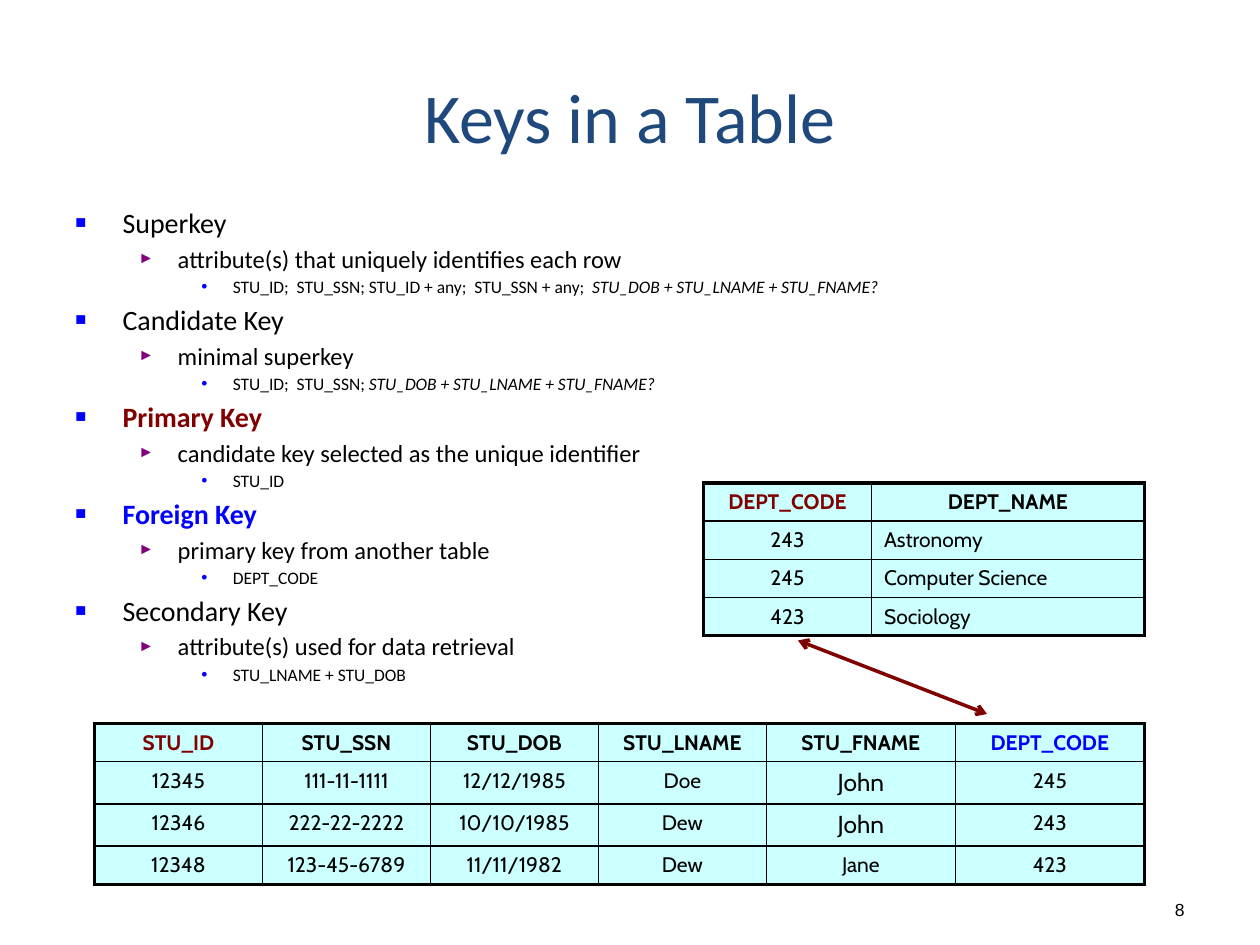
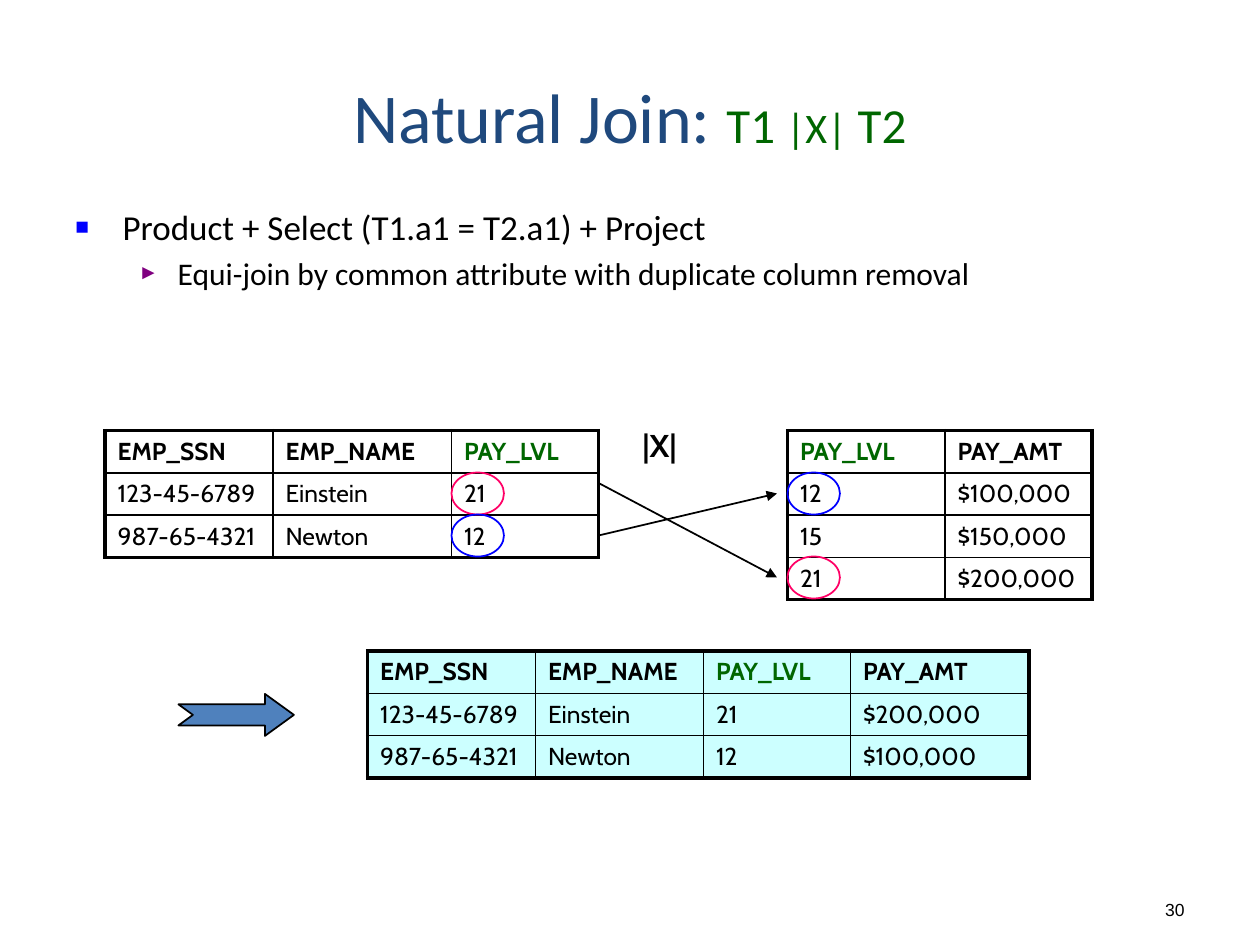
from dataclasses import dataclass

from lxml.etree import SubElement
from pptx import Presentation
from pptx.dml.color import RGBColor
from pptx.enum.shapes import MSO_CONNECTOR as Connector, MSO_SHAPE as Shape
from pptx.enum.text import MSO_ANCHOR as Anchor, PP_ALIGN as Align
from pptx.oxml import parse_xml
from pptx.oxml.ns import nsdecls, qn
from pptx.util import Pt


@dataclass(frozen=True)
class Theme:
    black: str = "000000"
    navy: str = "1F497D"
    blue: str = "0000FF"
    purple: str = "800080"
    maroon: str = "800000"
    green: str = "006600"
    pink: str = "FF0066"
    steel: str = "4F81BD"
    aqua: str = "CCFFFF"
    body_font: str = "Calibri"
    table_font: str = "Cabin"
    number_font: str = "Arial"
    title_size: int = 40
    operand_size: int = 28
    operator_size: int = 24
    label_size: int = 18
    large_cell: int = 14
    small_cell: int = 12
    number_size: int = 10
    thin: float = 1
    medium: float = 2
    thick: float = 2.25
    space_before: float = 0.185


THEME = Theme()

# Bullet levels: symbol, colour, size in percent, left margin, hanging indent
BULLETS = [
    ("■", THEME.blue, 65, 27, 27),
    ("►", THEME.purple, 65, 58.5, 22.5),
    ("•", THEME.blue, 100, 90, 18),
]


def style_font(font, size=None, color=None, name=None, bold=None, italic=None):
    if size:
        font.size = Pt(size)
    if color:
        font.color.rgb = RGBColor.from_string(color)
    if name:
        font.name = name
    if bold is not None:
        font.bold = bold
    if italic is not None:
        font.italic = italic


def write(paragraph, content, align=None, **style):
    """Write a string, or a list of (text, style overrides) runs."""
    style_font(paragraph.font, **style)
    paragraph.alignment = align
    runs = [(content, {})] if isinstance(content, str) else content
    for text, overrides in runs:
        run = paragraph.add_run()
        run.text = text
        style_font(run.font, **overrides)


class Deck:
    def __init__(self, theme):
        self.theme = theme
        self.presentation = Presentation()
        self.presentation.slide_width = Pt(720)
        self.presentation.slide_height = Pt(540)
        self.slide = None

    def start_slide(self, title, number):
        t = self.theme
        self.slide = self.presentation.slides.add_slide(self.presentation.slide_layouts[6])
        self.text(title, (36, 30, 648, 72), Anchor.MIDDLE, align=Align.CENTER,
                  size=t.title_size, color=t.navy, name=t.body_font)
        self.text(str(number), (654, 510, 30, 19.2), Anchor.BOTTOM, align=Align.RIGHT,
                  size=t.number_size, color=t.black, name=t.number_font)

    def frame(self, box, anchor=Anchor.TOP):
        frame = self.slide.shapes.add_textbox(*map(Pt, box)).text_frame
        frame.word_wrap = True
        frame.vertical_anchor = anchor
        return frame

    def text(self, content, box, anchor=Anchor.TOP, **style):
        write(self.frame(box, anchor).paragraphs[0], content, **style)

    def bullets(self, items, box, sizes):
        """Items are (level, content, style overrides)."""
        frame = self.frame(box)
        for index, (level, content, overrides) in enumerate(items):
            paragraph = frame.add_paragraph() if index else frame.paragraphs[0]
            size = sizes[level]
            base = dict(size=size, color=self.theme.black, name=self.theme.body_font)
            write(paragraph, content, **{**base, **overrides})
            paragraph.level = level
            paragraph.space_before = Pt(size * self.theme.space_before)
            self.bullet(paragraph, *BULLETS[level])

    def bullet(self, paragraph, symbol, color, percent, margin, hanging):
        properties = paragraph._p.get_or_add_pPr()
        properties.set("marL", str(Pt(margin)))
        properties.set("indent", str(-Pt(hanging)))
        marks = [
            f'<a:buClr {nsdecls("a")}><a:srgbClr val="{color}"/></a:buClr>',
            f'<a:buSzPct {nsdecls("a")} val="{percent * 1000}"/>',
            f'<a:buFont {nsdecls("a")} typeface="Arial"/>',
            f'<a:buChar {nsdecls("a")} char="{symbol}"/>',
        ]
        defaults = properties.find(qn("a:defRPr"))
        for mark in marks:
            defaults.addprevious(parse_xml(mark))

    def table(self, rows, corner, widths, heights, size, fill=None,
              key_colors=None, centered=(), large=()):
        """Header row first; key_colors maps header text to its colour."""
        t = self.theme
        box = (*corner, sum(widths), sum(heights))
        table = self.slide.shapes.add_table(len(rows), len(widths), *map(Pt, box)).table
        table.first_row = table.horz_banding = False
        for column, width in zip(table.columns, widths):
            column.width = Pt(width)
        for row, height in zip(table.rows, heights):
            row.height = Pt(height)
        for r, values in enumerate(rows):
            for c, value in enumerate(values):
                cell = table.cell(r, c)
                header = r == 0
                color = (key_colors or {}).get(value, t.black) if header else t.black
                write(cell.text_frame.paragraphs[0], value,
                      Align.CENTER if header and centered or c in centered else Align.LEFT,
                      size=t.large_cell if (r, c) in large else size,
                      color=color, name=t.table_font, bold=header)
                if fill:
                    cell.fill.solid()
                    cell.fill.fore_color.rgb = RGBColor.from_string(fill)
                else:
                    cell.fill.background()
                self.borders(cell, L=c == 0, R=c == len(widths) - 1,
                             T=r == 0, B=r == len(rows) - 1)

    def borders(self, cell, **outer_sides):
        properties = cell._tc.get_or_add_tcPr()
        for index, (side, outer) in enumerate(outer_sides.items()):
            width = Pt(self.theme.thick if outer else self.theme.thin)
            properties.insert(index, parse_xml(
                f'<a:ln{side} {nsdecls("a")} w="{width}"><a:solidFill>'
                f'<a:srgbClr val="{self.theme.black}"/></a:solidFill></a:ln{side}>'))

    def shape(self, kind, box, line, fill=None, adjustments=()):
        shape = self.slide.shapes.add_shape(kind, *map(Pt, box))
        shape.shadow.inherit = False
        for index, value in enumerate(adjustments):
            shape.adjustments[index] = value
        if fill:
            shape.fill.solid()
            shape.fill.fore_color.rgb = RGBColor.from_string(fill)
        else:
            shape.fill.background()
        shape.line.color.rgb = RGBColor.from_string(line)
        shape.line.width = Pt(self.theme.thin)

    def arrow(self, start, end, color, width, **ends):
        """Ends are headEnd and tailEnd, each with its arrowhead type."""
        arrow = self.slide.shapes.add_connector(Connector.STRAIGHT, *map(Pt, (*start, *end)))
        arrow.line.color.rgb = RGBColor.from_string(color)
        arrow.line.width = Pt(width)
        outline = arrow.line._get_or_add_ln()
        for tag, kind in ends.items():
            SubElement(outline, qn(f"a:{tag}"), type=kind)
        SubElement(arrow._element.spPr, qn("a:effectLst"))


def build_keys(deck):
    t = deck.theme
    deck.start_slide("Keys in a Table", 8)

    # Kinds of key: name, meaning, example, style of the name
    name_and_birth = ("STU_DOB + STU_LNAME + STU_FNAME?", dict(italic=True))
    keys = [
        ("Superkey", "attribute(s) that uniquely identifies each row",
         [("STU_ID;  STU_SSN; STU_ID + any;  STU_SSN + any;  ", {}), name_and_birth], {}),
        ("Candidate Key", "minimal superkey",
         [("STU_ID;  STU_SSN; ", {}), name_and_birth], {}),
        ("Primary Key", "candidate key selected as the unique identifier",
         "STU_ID", dict(color=t.maroon, bold=True)),
        ("Foreign Key", "primary key from another table",
         "DEPT_CODE", dict(color=t.blue, bold=True)),
        ("Secondary Key", "attribute(s) used for data retrieval",
         "STU_LNAME + STU_DOB", {}),
    ]
    items = []
    for key, meaning, example, style in keys:
        items += [(0, key, style), (1, meaning, {}), (2, example, {})]
    deck.bullets(items, (36, 114, 618, 390), sizes=(16, 14, 10))

    # Students and their departments
    students = [
        ("STU_ID", "STU_SSN", "STU_DOB", "STU_LNAME", "STU_FNAME", "DEPT_CODE"),
        ("12345", "111-11-1111", "12/12/1985", "Doe", "John", "245"),
        ("12346", "222-22-2222", "10/10/1985", "Dew", "John", "243"),
        ("12348", "123-45-6789", "11/11/1982", "Dew", "Jane", "423"),
    ]
    deck.table(students, (54, 413.4), [96] * 4 + [108] * 2, [21.8, 24.2, 24.2, 21.8],
               t.small_cell, t.aqua, {"STU_ID": t.maroon, "DEPT_CODE": t.blue},
               centered=range(6), large=[(1, 4), (2, 4)])
    departments = [
        ("DEPT_CODE", "DEPT_NAME"),
        ("243", "Astronomy"),
        ("245", "Computer Science"),
        ("423", "Sociology"),
    ]
    deck.table(departments, (402, 276), [96, 156], [21.8] * 4, t.small_cell, t.aqua,
               {"DEPT_CODE": t.maroon}, centered=[0])
    deck.arrow((456, 366), (564, 408), t.maroon, t.medium, headEnd="arrow", tailEnd="arrow")


def build_natural_join(deck):
    t = deck.theme
    operand = dict(size=t.operand_size, color=t.green)
    operator = dict(size=t.operator_size, color=t.green)
    deck.start_slide([("Natural Join: ", {}), ("T1 ", operand),
                      ("|X|", operator), (" T2", operand)], 30)
    deck.bullets([
        (0, "Product + Select (T1.a1 = T2.a1) + Project", {}),
        (1, "Equi-join by common attribute with duplicate column removal", {}),
    ], (36, 114, 648, 84), sizes=(20, 18))

    # Joined tables
    row = 24.2
    shared_key = {"PAY_LVL": t.green}
    employees = [
        ("EMP_SSN", "EMP_NAME", "PAY_LVL"),
        ("123-45-6789", "Einstein", "21"),
        ("987-65-4321", "Newton", "12"),
    ]
    pay = [
        ("PAY_LVL", "PAY_AMT"),
        ("12", "$100,000"),
        ("15", "$150,000"),
        ("21", "$200,000"),
    ]
    deck.table(employees, (60, 246), [96, 102, 84], [row] * 3, t.large_cell,
               key_colors=shared_key)
    deck.table(pay, (450, 246), [90, 84], [row] * 4, t.large_cell, key_colors=shared_key)
    deck.text("|X|", (360, 240, 60, 28.8), size=t.label_size, color=t.black,
              name=t.table_font, bold=True)

    # Result: each employee with the amount for the same level
    amounts = dict(pay)
    result = [(*employee, amounts[employee[-1]]) for employee in employees]
    deck.table(result, (210, 372), [96, 96, 84, 102], [row] * 3, t.large_cell, t.aqua,
               shared_key)
    deck.shape(Shape.NOTCHED_RIGHT_ARROW, (102, 396.5, 66, 24), t.black, t.steel,
               (0.5, 0.69))

    # Matching levels
    for color, employee_row, pay_row in [(t.pink, 1, 3), (t.blue, 2, 1)]:
        for left, index in [(258, employee_row), (450, pay_row)]:
            deck.shape(Shape.OVAL, (left, 246 + 24 * index, 30, 24), color)
    for start, end in [((342, 306), (444, 282)), ((342, 276), (444, 330))]:
        deck.arrow(start, end, t.black, t.thin, tailEnd="triangle")


def main():
    deck = Deck(THEME)
    build_keys(deck)
    build_natural_join(deck)
    deck.presentation.save("out.pptx")


if __name__ == "__main__":
    main()
